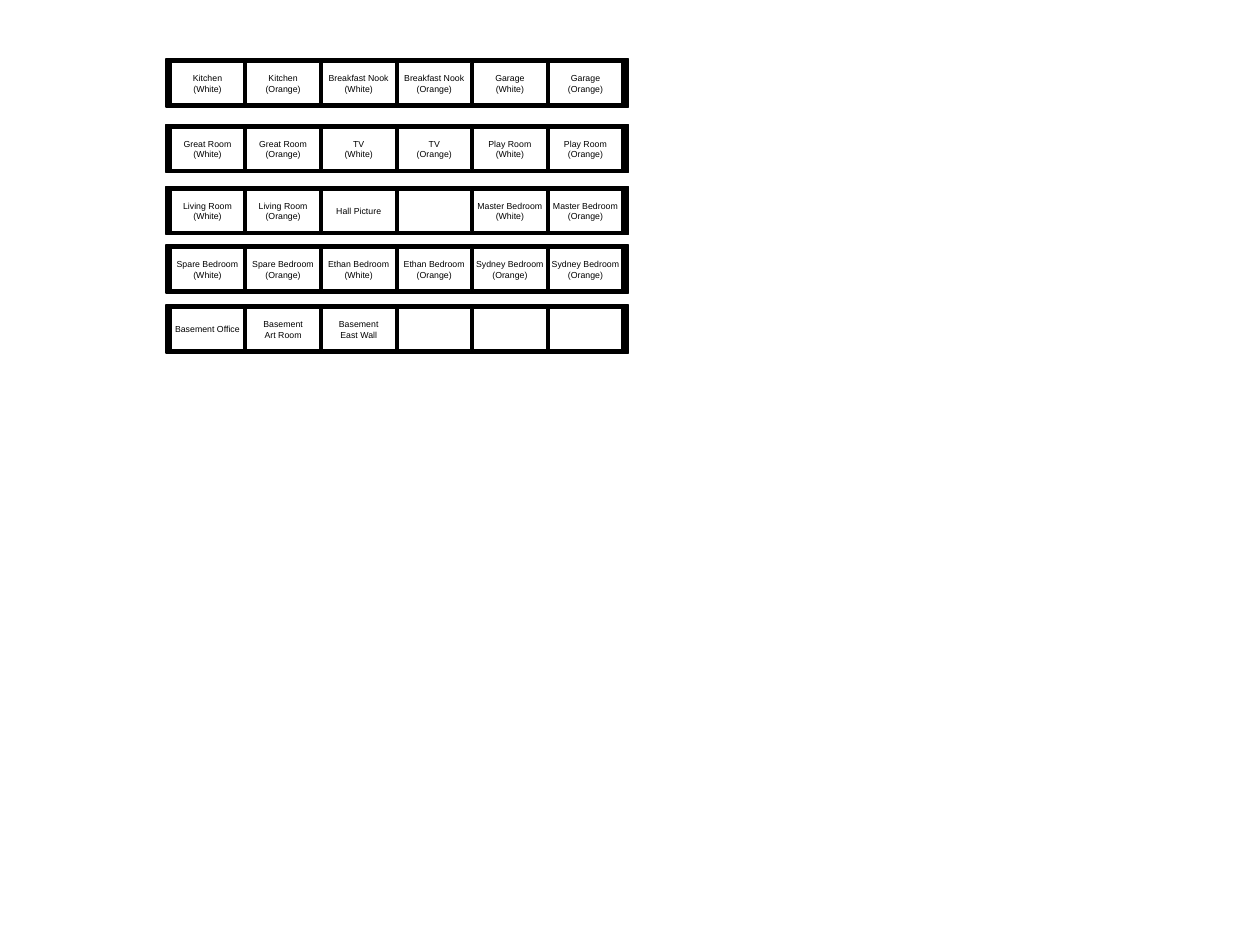
from pptx import Presentation
from pptx.dml.color import RGBColor
from pptx.enum.shapes import MSO_SHAPE
from pptx.enum.text import MSO_ANCHOR as Anchor, PP_ALIGN as Align
from pptx.util import Cm, Pt

COLORS = {"frame": "000000", "label": "FFFFFF", "text": "000000"}
FRAME_LEFT, FRAME_WIDTH, FRAME_HEIGHT = 3.35, 9.32, 0.97
LABEL_LEFT, LABEL_WIDTH, LABEL_HEIGHT = 3.45, 1.47, 0.84
LABEL_PITCH = 7.62 / 5
LABEL_INSET = 0.07

FRAME_FORMAT = {
    "word_wrap": False,
    "vertical_anchor": Anchor.MIDDLE,
    "margin_left": Cm(0.25),
    "margin_right": Cm(0.25),
    "margin_top": Cm(0.13),
    "margin_bottom": Cm(0.13),
}
FONT_FORMAT = {"name": "Arial", "size": Pt(5), "bold": False}

# Top of each switch plate in cm, then its labels from left to right
PLATES = [
    (1.19, ["Kitchen\n(White)", "Kitchen\n(Orange)",
            "Breakfast Nook\n(White)", "Breakfast Nook\n(Orange)",
            "Garage\n(White)", "Garage\n(Orange)"]),
    (2.51, ["Great Room\n(White)", "Great Room\n(Orange)",
            "TV\n(White)", "TV\n(Orange)",
            "Play Room\n(White)", "Play Room\n(Orange)"]),
    (3.76, ["Living Room\n(White)", "Living Room\n(Orange)",
            "Hall Picture", "",
            "Master Bedroom\n(White)", "Master Bedroom\n(Orange)"]),
    (4.94, ["Spare Bedroom\n(White)", "Spare Bedroom\n(Orange)",
            "Ethan Bedroom\n(White)", "Ethan Bedroom\n(Orange)",
            "Sydney Bedroom\n(Orange)", "Sydney Bedroom\n(Orange)"]),
    (6.15, ["Basement Office", "Basement\nArt Room",
            "Basement\nEast Wall", "", "", ""]),
]


def add_box(left, top, width, height, color):
    box = page.shapes.add_shape(
        MSO_SHAPE.RECTANGLE, Cm(left), Cm(top), Cm(width), Cm(height))
    box.shadow.inherit = False
    box.fill.solid()
    box.fill.fore_color.rgb = RGBColor.from_string(COLORS[color])
    box.line.color.rgb = RGBColor.from_string(COLORS["frame"])
    box.line.width = Pt(0.75)
    return box


deck = Presentation()
deck.slide_width, deck.slide_height = Cm(25.4), Cm(19.05)
page = deck.slides.add_slide(deck.slide_layouts[6])

for top, labels in PLATES:
    add_box(FRAME_LEFT, top, FRAME_WIDTH, FRAME_HEIGHT, "frame")
    # Labels are stacked from right to left
    for column, label in reversed(list(enumerate(labels))):
        box = add_box(LABEL_LEFT + column * LABEL_PITCH, top + LABEL_INSET,
                      LABEL_WIDTH, LABEL_HEIGHT, "label")
        if not label:
            continue
        for key, value in FRAME_FORMAT.items():
            setattr(box.text_frame, key, value)
        box.text_frame.text = label
        for para in box.text_frame.paragraphs:
            para.alignment = Align.CENTER
            for span in para.runs:
                for key, value in FONT_FORMAT.items():
                    setattr(span.font, key, value)
                span.font.color.rgb = RGBColor.from_string(COLORS["text"])

deck.save("out.pptx")
